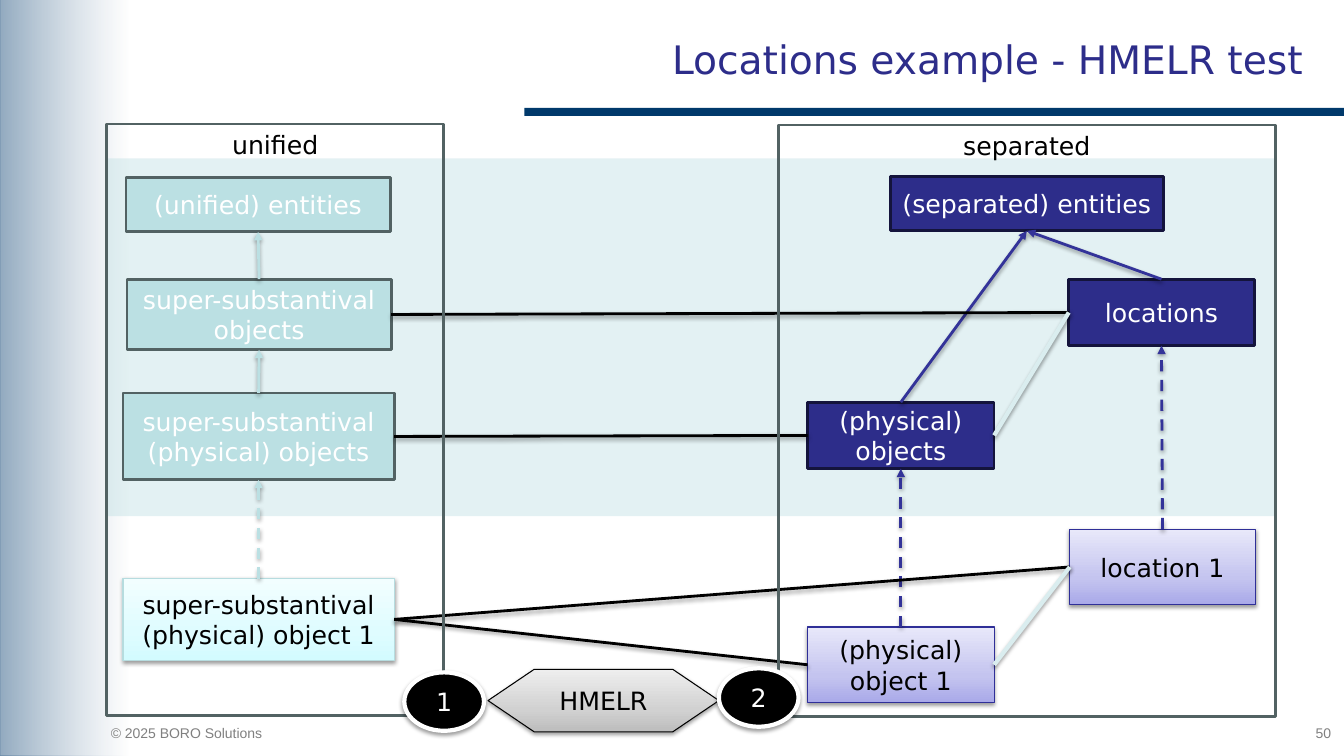
from dataclasses import dataclass

from lxml import etree
from pptx import Presentation
from pptx import util as u
from pptx.dml.color import RGBColor
from pptx.enum import dml, shapes, text
from pptx.oxml.ns import qn

COLUMNS, ROWS = 133.3, 75
TOP, LEFT, BOTTOM, RIGHT = range(4)
SHAPE = shapes.MSO_SHAPE
ALIGN = text.PP_ALIGN
ANCHOR = text.MSO_ANCHOR


@dataclass(frozen=True)
class Look:
    fill: object = None
    line: str = None
    width: float = 2
    ink: str = "000000"
    alpha: int = 100
    shadow: bool = False
    angle: int = 270


@dataclass(frozen=True)
class Theme:
    font: str = "DejaVu Sans"
    footer_font: str = "Arial"
    title_size: int = 28
    body_size: int = 18
    footer_size: int = 10
    title_ink: str = "2D2D8A"
    footer_ink: str = "808080"
    black: str = "000000"
    aqua: str = "BBE0E3"
    indigo: str = "333399"
    pale: str = "DAEDEF"
    bar: Look = Look("00396B")
    fade: Look = Look(((0, "01396C", 61), (100, "FFFFFF", 41)), angle=90)
    veil: Look = Look("FFFFFF", alpha=30)
    band: Look = Look("BADDE1", alpha=40)
    frame: Look = Look(line="526263")
    unified: Look = Look("BBE0E3", "526263", ink="FFFFFF")
    separated: Look = Look("2D2D8A", "14143C", ink="FFFFFF")
    unified_item: Look = Look(
        ((0, "D3FBFF", 100), (35, "DFFCFF", 100), (100, "F2FEFF", 100)),
        "B6DCDF", 0.75, shadow=True)
    separated_item: Look = Look(
        ((0, "A9A9E9", 100), (35, "C4C4EF", 100), (100, "E8E8FA", 100)),
        "2F2F98", 0.75, shadow=True)
    test: Look = Look(
        ((0, "BDBDBD", 100), (35, "D1D1D1", 100), (100, "EEEEEE", 100)),
        "000000", 0.75, shadow=True)
    number: Look = Look("000000", "FFFFFF", 3, "FFFFFF", shadow=True)


def add_element(parent, tag, **attributes):
    element = etree.SubElement(parent, qn(tag))
    for name, value in attributes.items():
        element.set(name, str(value))
    return element


def add_shadow(effects):
    shadow = add_element(effects, "a:outerShdw", blurRad=u.Pt(3.1), dist=u.Pt(1.6),
                         dir=90 * 60000, rotWithShape=0)
    color = add_element(shadow, "a:srgbClr", val="000000")
    add_element(color, "a:alpha", val=38000)


class SlideBuilder:
    def __init__(self, presentation, theme):
        self.presentation = presentation
        self.theme = theme
        self.slide = presentation.slides.add_slide(presentation.slide_layouts[5])

    def place(self, left, top, width, height):
        column = self.presentation.slide_width / COLUMNS
        row = self.presentation.slide_height / ROWS
        return [u.Emu(round(n)) for n in
                (left * column, top * row, width * column, height * row)]

    def label(self, shape, words, ink, size, font, align, anchor):
        frame = shape.text_frame
        frame.word_wrap = True
        frame.auto_size = text.MSO_AUTO_SIZE.NONE
        frame.vertical_anchor = anchor
        frame.text = words
        paragraph = frame.paragraphs[0]
        paragraph.alignment = align
        paragraph.font.size = u.Pt(size)
        paragraph.font.name = font
        paragraph.font.color.rgb = RGBColor.from_string(ink)

    def title(self, words, *area):
        shape = self.slide.shapes.title
        shape.left, shape.top, shape.width, shape.height = self.place(*area)
        self.label(shape, words, self.theme.title_ink, self.theme.title_size,
                   self.theme.font, ALIGN.RIGHT, ANCHOR.MIDDLE)

    def footer(self, words, align, *area):
        shape = self.slide.shapes.add_textbox(*self.place(*area))
        self.label(shape, words, self.theme.footer_ink, self.theme.footer_size,
                   self.theme.footer_font, align, ANCHOR.TOP)

    def fill(self, shape, look):
        properties = shape._element.spPr
        if look.fill is None:
            shape.fill.background()
        elif isinstance(look.fill, str):
            shape.fill.solid()
            shape.fill.fore_color.rgb = RGBColor.from_string(look.fill)
            if look.alpha < 100:
                color = properties.find(qn("a:solidFill"))[0]
                add_element(color, "a:alpha", val=look.alpha * 1000)
        else:
            shape.fill.gradient()
            gradient = properties.find(qn("a:gradFill"))
            gradient.clear()
            gradient.set("rotWithShape", "1")
            stops = add_element(gradient, "a:gsLst")
            for position, value, alpha in look.fill:
                stop = add_element(stops, "a:gs", pos=position * 1000)
                color = add_element(stop, "a:srgbClr", val=value)
                add_element(color, "a:alpha", val=alpha * 1000)
            add_element(gradient, "a:lin", ang=look.angle * 60000, scaled=0)

    def box(self, look, *area, words="", kind=SHAPE.RECTANGLE, anchor=ANCHOR.MIDDLE, turn=0):
        shape = self.slide.shapes.add_shape(kind, *self.place(*area))
        shape.rotation = turn
        shape.shadow.inherit = False
        self.fill(shape, look)
        if look.line:
            shape.line.color.rgb = RGBColor.from_string(look.line)
            shape.line.width = u.Pt(look.width)
        else:
            shape.line.fill.background()
        if look.shadow:
            add_shadow(shape._element.spPr.find(qn("a:effectLst")))
        if words:
            self.label(shape, words, look.ink, self.theme.body_size,
                       self.theme.font, ALIGN.CENTER, anchor)
        return shape

    def link(self, start, start_side, end, end_side, color, width=2, arrow=False, dashed=False):
        connector = self.slide.shapes.add_connector(
            shapes.MSO_CONNECTOR.STRAIGHT, 0, 0, 0, 0)
        connector.begin_connect(start, start_side)
        connector.end_connect(end, end_side)
        connector.line.color.rgb = RGBColor.from_string(color)
        connector.line.width = u.Pt(width)
        if dashed:
            connector.line.dash_style = dml.MSO_LINE.DASH
        properties = connector._element.spPr
        if arrow:
            add_element(properties.find(qn("a:ln")), "a:tailEnd", type="triangle")
        add_shadow(add_element(properties, "a:effectLst"))

    def arrow(self, start, end, color, dashed=False):
        self.link(start, TOP, end, BOTTOM, color, arrow=True, dashed=dashed)


def main():
    presentation = Presentation()
    presentation.slide_width = u.Inches(13.33)
    presentation.slide_height = u.Inches(7.5)
    theme = Theme()
    builder = SlideBuilder(presentation, theme)
    box = builder.box

    box(theme.bar, 52, 10.7, 81.3, 0.8)
    for look in (theme.fade, theme.veil):
        box(look, -31.1, 31.1, 75, 12.7, turn=270)
    builder.footer("© 2025 BORO Solutions", ALIGN.LEFT, 10, 71.4, 25.2, 2.7)
    builder.title("Locations example - HMELR test", 12.3, 1.5, 117.9, 8.7)
    box(theme.band, 10.6, 15.7, 115.9, 35.5)

    unified = box(theme.unified, 12.5, 17.6, 26.2, 5.4, words="(unified) entities")
    substantival = box(theme.unified, 12.6, 27.7, 26.2, 7,
                       words="super-substantival objects")
    substantival_physical = box(theme.unified, 12.2, 39, 26.9, 8.6,
                                words="super-substantival (physical) objects")
    substantival_item = box(theme.unified_item, 12.2, 57.4, 26.9, 8.1,
                            words="super-substantival (physical) object 1")

    separated = box(theme.separated, 88.3, 17.5, 27.1, 5.4, words="(separated) entities")
    locations = box(theme.separated, 106, 27.7, 18.4, 6.6, words="locations")
    physical = box(theme.separated, 80.1, 39.9, 18.5, 6.6, words="(physical) objects")
    location_item = box(theme.separated_item, 106.1, 52.5, 18.4, 7.5, words="location 1")
    physical_item = box(theme.separated_item, 80.1, 62.2, 18.5, 7.5,
                        words="(physical) object 1")

    builder.arrow(substantival, unified, theme.aqua)
    builder.arrow(substantival_physical, substantival, theme.aqua)
    builder.arrow(substantival_item, substantival_physical, theme.aqua, dashed=True)
    for kind, item in ((physical, physical_item), (locations, location_item)):
        builder.arrow(kind, separated, theme.indigo)
        builder.arrow(item, kind, theme.indigo, dashed=True)
    for start, end in ((substantival_physical, physical), (substantival, locations),
                       (substantival_item, physical_item), (substantival_item, location_item)):
        builder.link(start, RIGHT, end, LEFT, theme.black)
    for start, end in ((physical, locations), (physical_item, location_item)):
        builder.link(start, RIGHT, end, LEFT, theme.pale, width=3)

    for words, left, top, width in (("unified", 10.6, 12.3, 33.4),
                                    ("separated", 77.2, 12.4, 49.3)):
        box(theme.frame, left, top, width, 58.7, words=words, anchor=ANCHOR.TOP)
    box(theme.test, 48.4, 66.4, 22.9, 6.2, words="HMELR",
        kind=SHAPE.FLOWCHART_PREPARATION)
    for words, left, top in (("1", 40.1, 66.7), ("2", 71.3, 66.3)):
        box(theme.number, left, top, 7.9, 5.8, words=words, kind=SHAPE.FLOWCHART_CONNECTOR)
    builder.footer("50", ALIGN.RIGHT, 120.2, 71.4, 12.8, 3.1)

    presentation.save("out.pptx")


if __name__ == "__main__":
    main()
